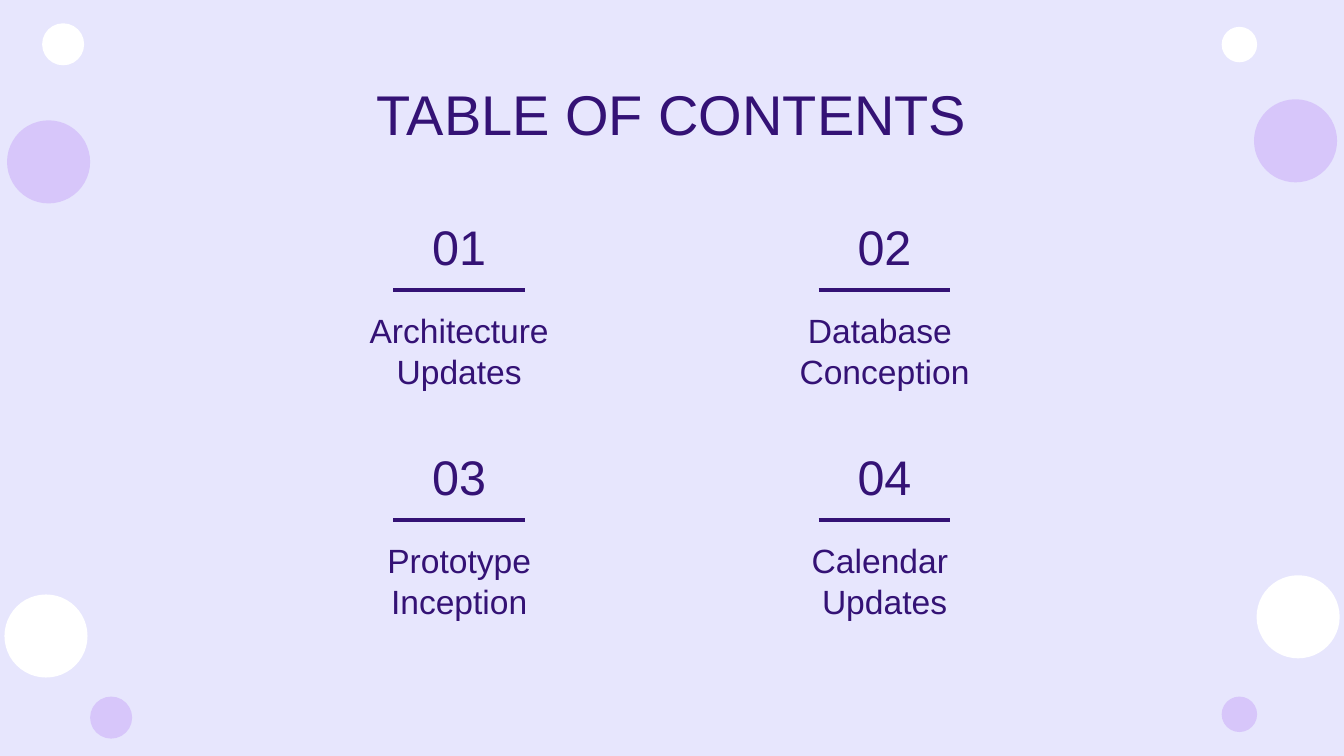
from lxml import etree
from pptx import Presentation
from pptx.dml.color import RGBColor
from pptx.enum.shapes import MSO_CONNECTOR, MSO_SHAPE
from pptx.enum.text import MSO_ANCHOR, MSO_AUTO_SIZE, PP_ALIGN
from pptx.oxml.ns import qn
from pptx.util import Pt

BACKGROUND = RGBColor(0xE7, 0xE6, 0xFD)
INK = RGBColor(0x34, 0x12, 0x75)
LILAC = RGBColor(0xD7, 0xC6, 0xFA)
WHITE = RGBColor(0xFF, 0xFF, 0xFF)
FONT = "Arial"
CENTER = PP_ALIGN.CENTER
TOP, MIDDLE, BOTTOM = MSO_ANCHOR.TOP, MSO_ANCHOR.MIDDLE, MSO_ANCHOR.BOTTOM
NO_AUTOFIT = MSO_AUTO_SIZE.NONE
ELLIPSE = MSO_SHAPE.OVAL
STRAIGHT = MSO_CONNECTOR.STRAIGHT
COMPARISON_LAYOUT = 4

SECTIONS = [
    "Architecture Updates",
    "Database \nConception",
    "Prototype\nInception",
    "Calendar \nUpdates",
]
BUBBLES = [
    (654.5, 14.4, 19, WHITE),
    (3.8, 64.5, 44.5, LILAC),
    (22.6, 12.5, 22.5, WHITE),
    (48.3, 373.2, 22.5, LILAC),
    (2.4, 318.5, 44.5, WHITE),
    (654.5, 373.2, 19, LILAC),
    (673.2, 308.2, 44.5, WHITE),
    (671.8, 53.2, 44.5, LILAC),
]


def place_text(shape, box, text, size, anchor):
    shape.left, shape.top, shape.width, shape.height = (Pt(value) for value in box)
    frame = shape.text_frame
    frame.text = text
    frame.word_wrap = True
    frame.auto_size = NO_AUTOFIT
    frame.vertical_anchor = anchor
    frame.margin_left = frame.margin_right = Pt(7.2)
    frame.margin_top = frame.margin_bottom = Pt(7.2)
    for paragraph in frame.paragraphs:
        paragraph.alignment = CENTER
        paragraph.line_spacing = 1.0
        paragraph.space_before = paragraph.space_after = Pt(0)
        properties = paragraph._p.get_or_add_pPr()
        properties.set("marL", "0")
        properties.set("indent", "0")
        etree.SubElement(properties, qn("a:buNone"))
        for run in paragraph.runs:
            run.font.name = FONT
            run.font.size = Pt(size)
            run.font.bold = False
            run.font.color.rgb = INK


def add_bubbles(slide):
    for left, top, diameter, color in BUBBLES:
        bubble = slide.shapes.add_shape(
            ELLIPSE, Pt(left), Pt(top), Pt(diameter), Pt(diameter))
        bubble.shadow.inherit = False
        bubble.fill.solid()
        bubble.fill.fore_color.rgb = color
        bubble.line.fill.background()


def add_rule(slide, left, top, width):
    rule = slide.shapes.add_connector(
        STRAIGHT, Pt(left), Pt(top), Pt(left + width), Pt(top))
    rule.line.color.rgb = INK
    rule.line.width = Pt(2.25)
    etree.SubElement(rule._element.spPr, qn("a:effectLst"))


def add_section(slide, placeholder, number, label, left, top, width):
    center = left + width / 2
    number_box = slide.shapes.add_textbox(0, 0, 0, 0)
    place_text(number_box, (center - 29, top, 58, 35.2), f"{number:02}", 26, MIDDLE)
    add_rule(slide, center - 35.3, top + 41, 70.6)
    place_text(placeholder, (left, top + 51.8, width, 50.4), label, 18, BOTTOM)


def add_sections(slide, left, top, column_pitch, row_pitch):
    labels = [shape for shape in slide.placeholders
              if shape.placeholder_format.idx > 0]
    for index, (placeholder, label) in enumerate(zip(labels, SECTIONS)):
        row, column = divmod(index, 2)
        add_section(slide, placeholder, index + 1, label,
                    left + column * column_pitch, top + row * row_pitch, 181.4)


def build_contents_slide(presentation):
    slide = presentation.slides.add_slide(
        presentation.slide_layouts[COMPARISON_LAYOUT])
    slide.background.fill.solid()
    slide.background.fill.fore_color.rgb = BACKGROUND
    add_bubbles(slide)
    place_text(slide.shapes.title, (56.7, 35.3, 606.6, 45.4),
               "TABLE OF CONTENTS", 30, TOP)
    add_sections(slide, 155.3, 114.5, 227.9, 123.2)


def main():
    presentation = Presentation()
    presentation.slide_width = Pt(720)
    presentation.slide_height = Pt(405)
    build_contents_slide(presentation)
    presentation.save("out.pptx")


if __name__ == "__main__":
    main()
